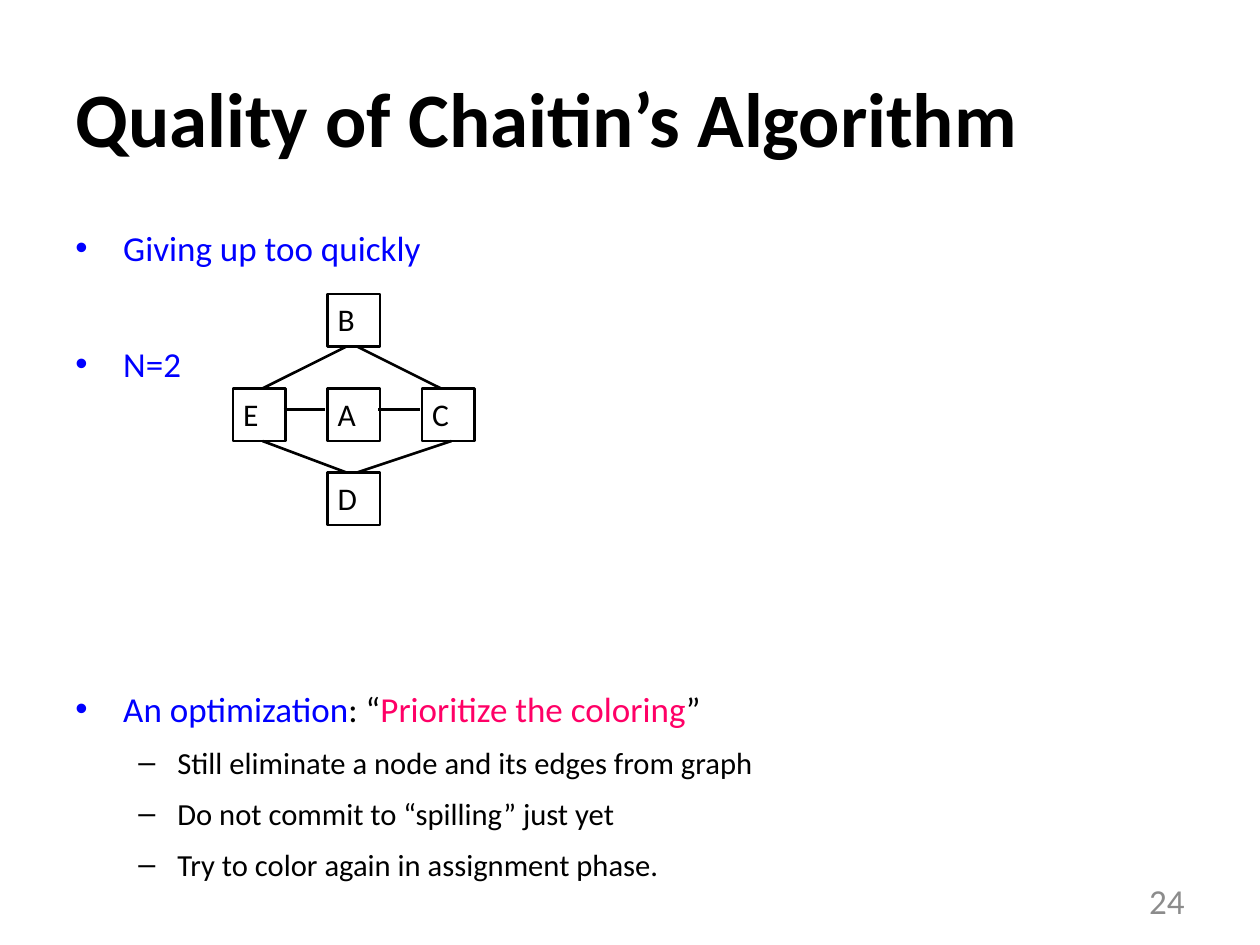
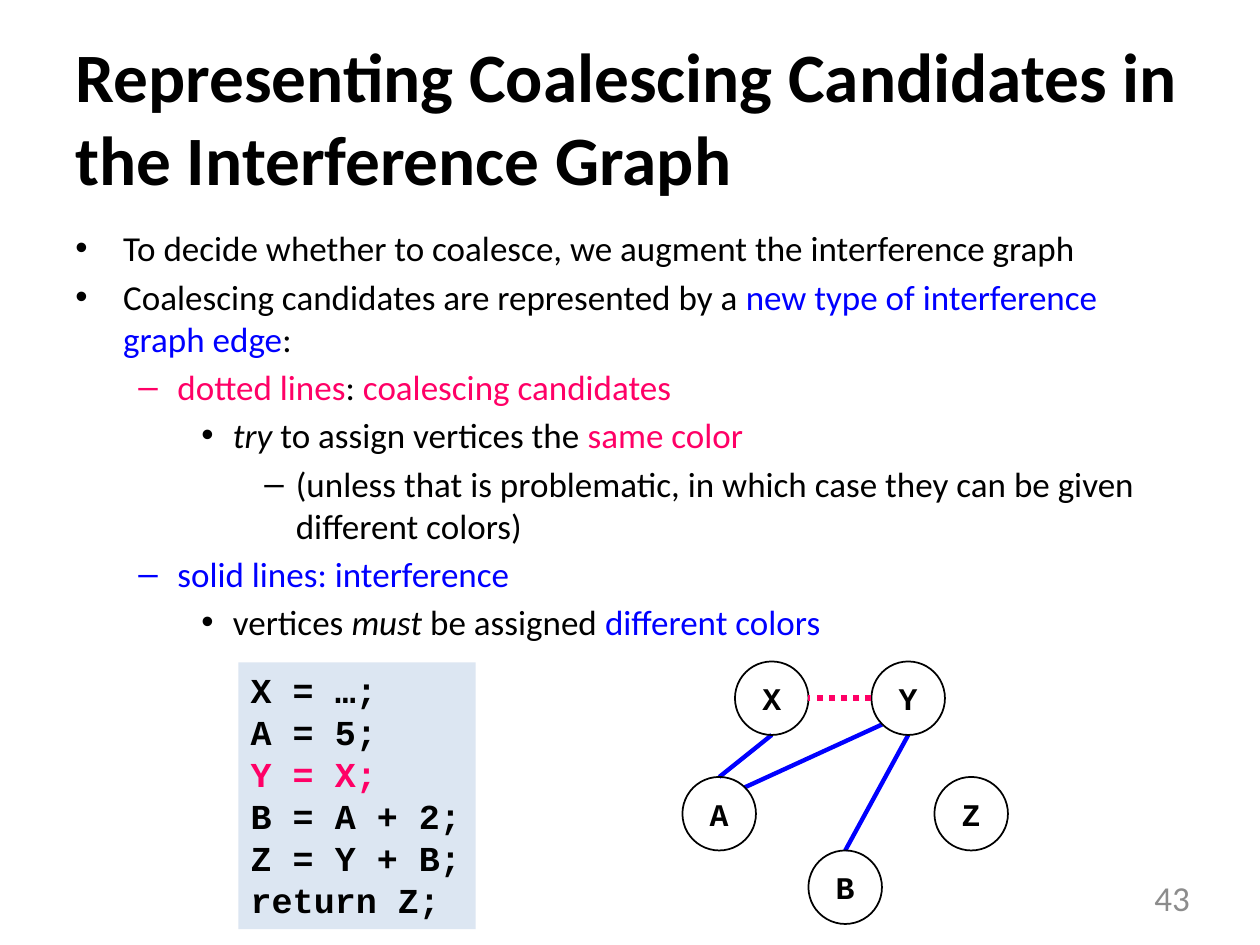
"""Builds two slides on register allocation by graph colouring."""
from dataclasses import dataclass

from lxml import etree
from pptx import Presentation
from pptx import util as u
from pptx.dml.color import RGBColor
from pptx.enum import dml, shapes, text
from pptx.oxml import ns


@dataclass(frozen=True)
class Theme:
    ink: str = "000000"
    blue: str = "0000FF"
    pink: str = "FF0066"
    grey: str = "8C8C8C"
    panel: str = "DCE6F2"
    sans: str = "Calibri"
    mono: str = "Courier New"
    title: float = 44
    long_title: float = 39.6
    body: float = 20
    detail: float = 17.5
    label: float = 18
    before: float = 0.18
    bullets: tuple = (("•", 0.38, 0.38), ("–", 0.81, 0.31),
                      ("•", 1.25, 0.25), ("–", 1.75, 0.25))


THEME = Theme()
COLUMNS, ROWS = 120, 90
WIDTH, HEIGHT = u.Inches(10), u.Inches(7.5)


@dataclass
class Item:
    runs: list
    level: int = 0
    size: float = THEME.body
    before: float = None
    after: float = 0


def write(paragraph, runs, size=THEME.body, font=THEME.sans, color=THEME.ink,
          bold=False, align=text.PP_ALIGN.LEFT):
    """Add runs, each a string or a (string, colour, italic) tuple."""
    paragraph.alignment = align
    for part in runs:
        words, tint, italic = part if isinstance(part, tuple) else (part, color, False)
        run = paragraph.add_run()
        run.text = words
        run.font.size, run.font.name = u.Pt(size), font
        run.font.bold, run.font.italic = bold, italic
        run.font.color.rgb = RGBColor.from_string(tint)


def blue(words):
    return words, THEME.blue, False


def pink(words):
    return words, THEME.pink, False


def italic(words):
    return words, THEME.ink, True


class Deck:
    """Draws lecture slides on a grid of columns and rows."""

    def __init__(self):
        self.file = Presentation()
        self.file.slide_width, self.file.slide_height = WIDTH, HEIGHT
        self.slide = None

    def grid(self, column, row):
        return round(WIDTH * column / COLUMNS), round(HEIGHT * row / ROWS)

    def start(self, title, number, number_at, title_size=THEME.title):
        self.slide = self.file.slides.add_slide(self.file.slide_layouts[6])
        heading = self.box(6, 3.6, 108, 15, text.MSO_ANCHOR.MIDDLE)
        write(heading.paragraphs[0], [title], size=title_size, bold=True)
        footer = self.box(*number_at, 28, 4.8, text.MSO_ANCHOR.MIDDLE)
        write(footer.paragraphs[0], [number], color=THEME.grey,
              align=text.PP_ALIGN.RIGHT)

    def box(self, column, row, columns, rows, anchor=text.MSO_ANCHOR.TOP):
        frame = self.slide.shapes.add_textbox(
            *self.grid(column, row), *self.grid(columns, rows)).text_frame
        frame.word_wrap, frame.vertical_anchor = True, anchor
        return frame

    def outline(self, items):
        frame = self.box(6, 21, 108, 59.4)
        for index, item in enumerate(items):
            paragraph = frame.add_paragraph() if index else frame.paragraphs[0]
            write(paragraph, item.runs, size=item.size)
            before = item.size * THEME.before if item.before is None else item.before
            paragraph.space_before = u.Pt(before if index else 0)
            paragraph.space_after = u.Pt(item.after)
            paragraph.level = item.level
            mark, margin, hang = THEME.bullets[item.level]
            style = paragraph._p.get_or_add_pPr()
            style.set("marL", str(u.Inches(margin)))
            style.set("indent", str(-u.Inches(hang)))
            etree.SubElement(style, ns.qn("a:buFont")).set("typeface", "Arial")
            etree.SubElement(style, ns.qn("a:buChar")).set("char", mark)

    def shape(self, kind, column, row, columns, rows, fill=None, line=None,
              inset=(0, 0), anchor=text.MSO_ANCHOR.MIDDLE):
        shape = self.slide.shapes.add_shape(
            kind, *self.grid(column, row), *self.grid(columns, rows))
        shape.shadow.inherit = False
        if fill:
            shape.fill.solid()
            shape.fill.fore_color.rgb = RGBColor.from_string(fill)
        else:
            shape.fill.background()
        if line:
            shape.line.color.rgb = RGBColor.from_string(THEME.ink)
            shape.line.width = u.Pt(line)
        else:
            shape.line.fill.background()
        frame = shape.text_frame
        frame.word_wrap, frame.vertical_anchor = False, anchor
        frame.margin_left, frame.margin_top = map(u.Inches, inset)
        frame.margin_right = frame.margin_bottom = 0
        return frame

    def square(self, name, column, row):
        frame = self.shape(shapes.MSO_SHAPE.RECTANGLE, column, row, 5, 5, line=1.5,
                           inset=(0.08, 0.05), anchor=text.MSO_ANCHOR.TOP)
        write(frame.paragraphs[0], [name], size=THEME.label)

    def circle(self, name, column, row):
        frame = self.shape(shapes.MSO_SHAPE.OVAL, column, row, 7, 7, line=1)
        write(frame.paragraphs[0], [name], size=THEME.label, font=THEME.mono,
              bold=True, align=text.PP_ALIGN.CENTER)

    def code(self, lines, column, row, columns, rows):
        frame = self.shape(shapes.MSO_SHAPE.RECTANGLE, column, row, columns, rows,
                           fill=THEME.panel, inset=(0.1, 0.05),
                           anchor=text.MSO_ANCHOR.TOP)
        for index, line in enumerate(lines):
            paragraph = frame.add_paragraph() if index else frame.paragraphs[0]
            write(paragraph, [line], font=THEME.mono, bold=True)

    def edge(self, start, end, color=THEME.ink, width=1.5, dash=None):
        line = self.slide.shapes.add_connector(
            shapes.MSO_CONNECTOR.STRAIGHT, *self.grid(*start), *self.grid(*end))
        line.line.color.rgb = RGBColor.from_string(color)
        line.line.width = u.Pt(width)
        if dash:
            line.line.dash_style = dash
        etree.SubElement(line._element.spPr, ns.qn("a:effectLst"))


def quality_slide(deck):
    deck.start("Quality of Chaitin’s Algorithm", "24", (86, 83.4))
    details = ("Still eliminate a node and its edges from graph",
               "Do not commit to “spilling” just yet",
               "Try to color again in assignment phase.")
    deck.outline([
        Item([blue("Giving up too quickly")], after=5),
        Item([blue("N=2")], before=36.9, after=5),
        Item([blue("An optimization"), ": “", pink("Prioritize the coloring"), "”"],
             before=168.3, after=5),
        *(Item([detail], 1, THEME.detail, after=5) for detail in details)])
    left, middle, right = (22.2 + 9 * step for step in range(3))
    for name, column, row in (("B", middle, 28), ("A", middle, 37), ("C", right, 37),
                              ("D", middle, 45), ("E", left, 37)):
        deck.square(name, column, row)
    for start, end in (((25, 37), (33, 33)), ((34, 33), (42, 37)),
                       ((27, 39), (31, 39)), ((36, 39), (40, 39)),
                       ((25, 42), (33, 45)), ((43, 42), (34, 45))):
        deck.edge(start, end)


def coalescing_slide(deck):
    deck.start("Representing Coalescing Candidates in the Interference Graph",
               "43", (86.5, 83.1), THEME.long_title)
    deck.outline([
        Item(["To decide whether to coalesce, we augment the interference graph"]),
        Item(["Coalescing candidates are represented by a ",
              blue("new type of interference graph edge"), ":"]),
        Item([pink("dotted lines"), ": ", pink("coalescing candidates")], 1),
        Item([italic("try"), " to assign vertices the ", pink("same color")], 2),
        Item(["(unless that is problematic, in which case they can be given "
              "different colors)"], 3),
        Item([blue("solid lines: interference")], 1),
        Item(["vertices ", italic("must"), " be assigned ",
              blue("different colors")], 2)])
    deck.code(["X = …;", "A = 5;", pink("Y = X;"), "B = A + 2;", "Z = Y + B;",
               "return Z;"], 22.7, 63.1, 22.6, 25.4)
    for start, end in (((84, 69), (70.9, 75)), ((73.5, 70), (68.5, 74)),
                       ((86.5, 70), (80.5, 81))):
        deck.edge(start, end, THEME.blue, 2.5)
    for name, column, row in (("B", 77, 81), ("X", 70, 63), ("Y", 83, 63),
                              ("A", 65, 74), ("Z", 89, 74)):
        deck.circle(name, column, row)
    deck.edge((83, 66.5), (77, 66.5), THEME.pink, 3.5, dml.MSO_LINE.ROUND_DOT)


def main():
    deck = Deck()
    quality_slide(deck)
    coalescing_slide(deck)
    deck.file.save("out.pptx")


main()
